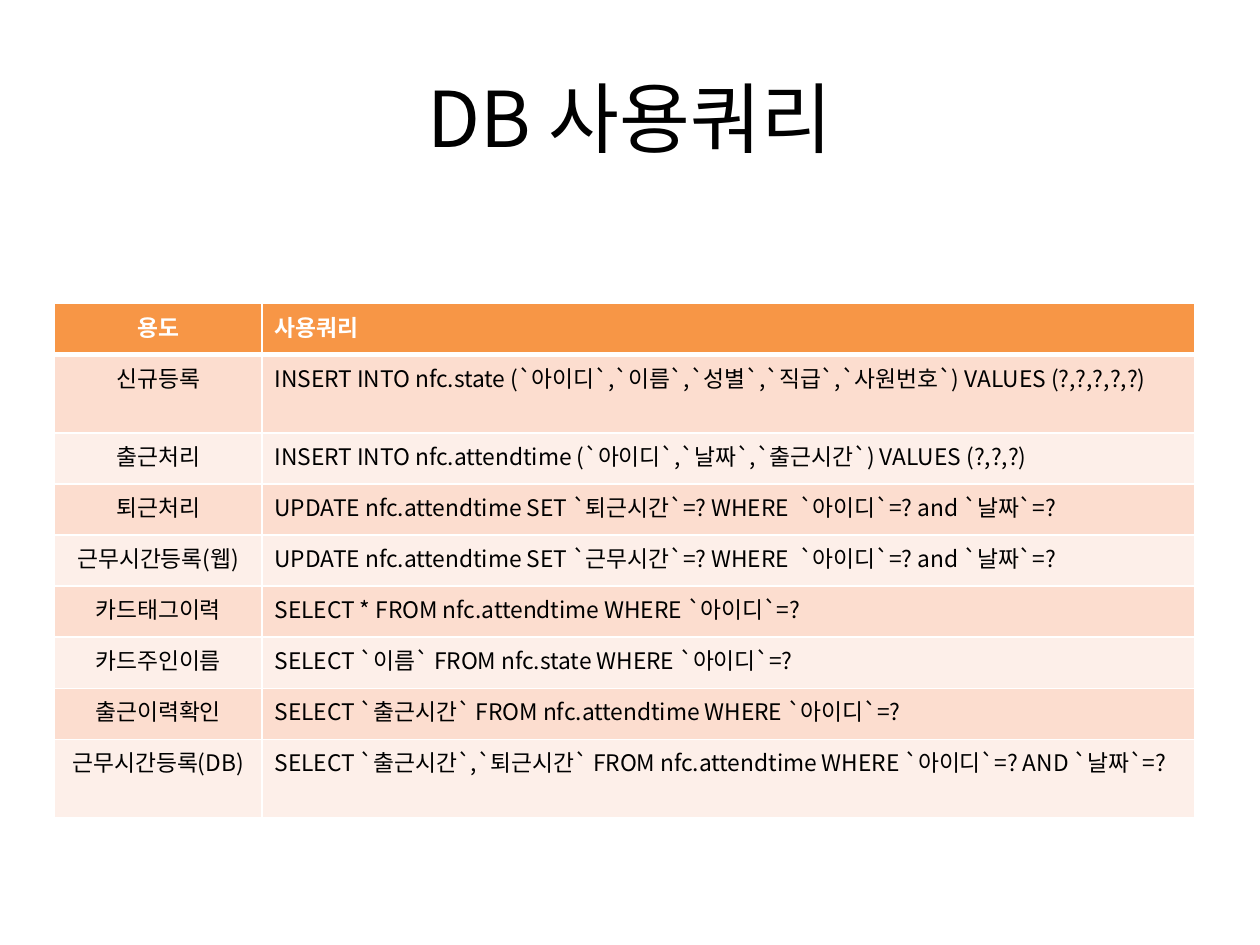
from pptx import Presentation
from pptx.util import Inches, Pt
from pptx.dml.color import RGBColor
from pptx.enum.text import PP_ALIGN, MSO_ANCHOR
from pptx.oxml.ns import qn
from lxml.etree import SubElement

FACE = "Noto Sans CJK KR"
WIDE, HIGH = Inches(10), Inches(7.5)
HEAD, DARK, PALE = "F79646", "FCDDCF", "FDEFE9"
ONE, TWO, LIMIT = Inches(3.65) // 9, Inches(0.62), 62
ROWS = [
    ("용도", "사용쿼리"),
    ("신규등록", "INSERT INTO nfc.state (`아이디`,`이름`,`성별`,`직급`,`사원번호`) VALUES (?,?,?,?,?)"),
    ("출근처리", "INSERT INTO nfc.attendtime (`아이디`,`날짜`,`출근시간`) VALUES (?,?,?)"),
    ("퇴근처리", "UPDATE nfc.attendtime SET `퇴근시간`=? WHERE  `아이디`=? and `날짜`=?"),
    ("근무시간등록(웹)", "UPDATE nfc.attendtime SET `근무시간`=? WHERE  `아이디`=? and `날짜`=?"),
    ("카드태그이력", "SELECT * FROM nfc.attendtime WHERE `아이디`=?"),
    ("카드주인이름", "SELECT `이름` FROM nfc.state WHERE `아이디`=?"),
    ("출근이력확인", "SELECT `출근시간` FROM nfc.attendtime WHERE `아이디`=?"),
    ("근무시간등록(DB)", "SELECT `출근시간`,`퇴근시간` FROM nfc.attendtime WHERE `아이디`=? AND `날짜`=?"),
]


def tint(fmt, code):
    """Give a colour format the colour of a hex string."""
    fmt.rgb = RGBColor.from_string(code)


def write(frame, text, align, code, **font):
    """Write one styled paragraph into a text frame."""
    para = frame.paragraphs[0]
    para.alignment = align
    run = para.add_run()
    run.text = text
    for key, val in {"name": FACE, **font}.items():
        setattr(run.font, key, val)
    tint(run.font.color, code)
    SubElement(run.font._element, qn("a:ea"), typeface=FACE)


def edge(cell, side, width):
    """Draw a white line on one side of a cell."""
    line = SubElement(cell._tc.get_or_add_tcPr(), qn("a:" + side), w=str(Pt(width)))
    fill = SubElement(line, qn("a:solidFill"))
    SubElement(fill, qn("a:srgbClr"), val="FFFFFF")


def title(slide, text):
    """Add the centred slide title."""
    box = slide.shapes.add_textbox(
        int(WIDE * 0.05), int(HIGH * 0.04), int(WIDE * 0.9), int(HIGH / 6))
    frame = box.text_frame
    for key, val in {"word_wrap": True, "vertical_anchor": MSO_ANCHOR.MIDDLE}.items():
        setattr(frame, key, val)
    write(frame, text, PP_ALIGN.CENTER, "000000", size=Pt(44))


def style(cell, text, row, col):
    """Fill, border and label a cell by its place in the grid."""
    top = row == 0
    for side, thick in {"lnL": False, "lnR": False, "lnT": row == 1, "lnB": top}.items():
        edge(cell, side, 3 if thick else 1)
    cell.fill.solid()
    tint(cell.fill.fore_color, HEAD if top else DARK if row % 2 else PALE)
    align = PP_ALIGN.LEFT if col else PP_ALIGN.CENTER
    write(cell.text_frame, text, align, "FFFFFF" if top else "000000",
          size=Pt(13), bold=top)


def grid(slide, rows, shares):
    """Add the query table, with taller rows for queries that wrap."""
    talls = [TWO if len(query) > LIMIT else ONE for _, query in rows]
    table = slide.shapes.add_table(
        len(rows), len(shares), Inches(0.43), Inches(2.41),
        int(WIDE * sum(shares)), sum(talls)).table
    for col, share in zip(table.columns, shares):
        col.width = int(WIDE * share)
    for row, (texts, tall) in enumerate(zip(rows, talls)):
        table.rows[row].height = tall
        for col, text in enumerate(texts):
            style(table.cell(row, col), text, row, col)


def main():
    """Build and save the slide."""
    deck = Presentation()
    deck.slide_width, deck.slide_height = WIDE, HIGH
    slide = deck.slides.add_slide(deck.slide_layouts[6])
    title(slide, "DB 사용쿼리")
    grid(slide, ROWS, (0.165, 0.74))
    deck.save("out.pptx")


if __name__ == "__main__":
    main()
